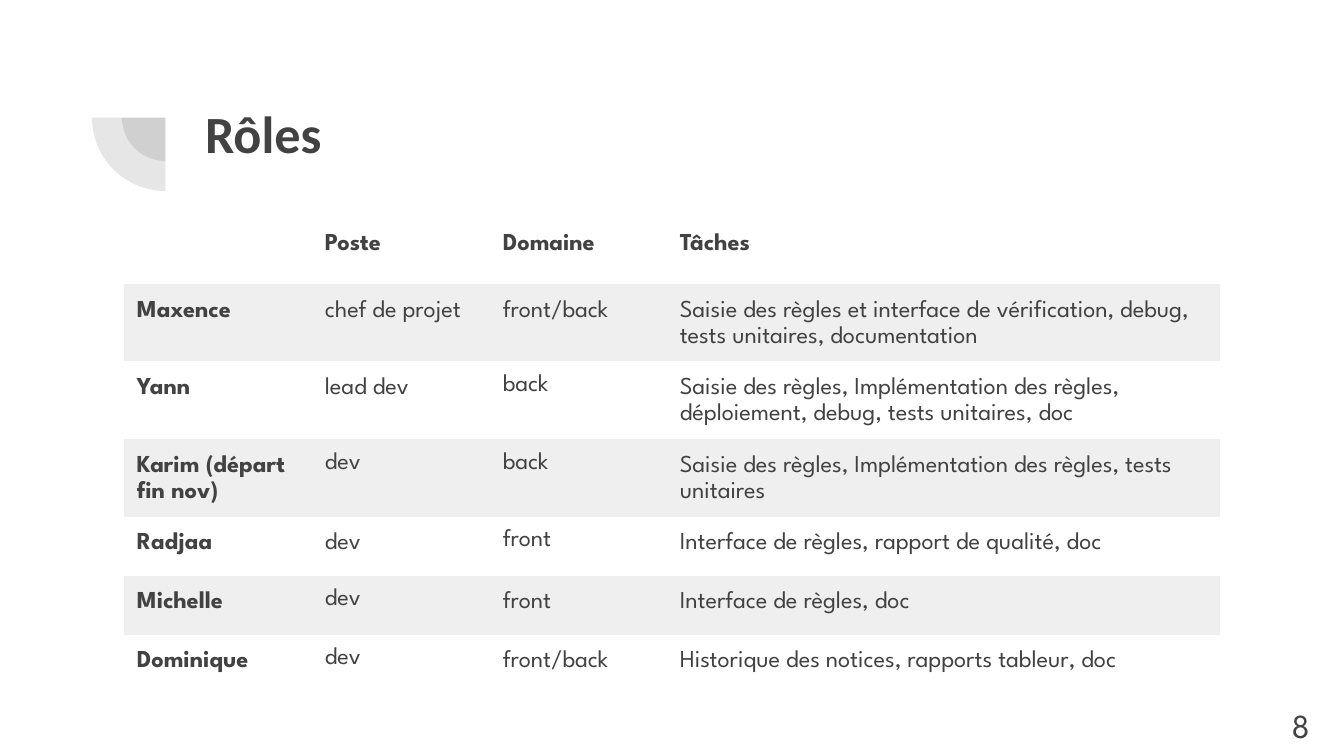
from dataclasses import dataclass

from lxml.etree import SubElement
from pptx import Presentation
from pptx.dml.color import RGBColor
from pptx.enum.shapes import MSO_SHAPE
from pptx.enum.text import MSO_ANCHOR, MSO_AUTO_SIZE, PP_ALIGN
from pptx.oxml.ns import qn
from pptx.util import Pt

EMU_PER_PX = 914400 / 134.4
NO_STYLE_NO_GRID = "{2D5ABB26-0587-4C30-8999-92F81FD0307C}"


@dataclass(frozen=True)
class Theme:
    ink: RGBColor = RGBColor(0x42, 0x42, 0x42)
    band: RGBColor = RGBColor(0xEF, 0xEF, 0xEF)
    title_font: str = "Calibri"
    body_font: str = "League Spartan"
    title_size: int = 28
    table_size: int = 13
    number_size: int = 18
    ornament_alpha: int = 13


THEME = Theme()

ROLES = [
    ["", "Poste", "Domaine", "Tâches"],
    ["Maxence", "chef de projet", "front/back",
     "Saisie des règles et interface de vérification, debug, tests unitaires, documentation"],
    ["Yann", "lead dev", "back",
     "Saisie des règles, Implémentation des règles, déploiement, debug, tests unitaires, doc"],
    ["Karim (départ fin nov)", "dev", "back",
     "Saisie des règles, Implémentation des règles, tests unitaires"],
    ["Radjaa", "dev", "front", "Interface de règles, rapport de qualité, doc"],
    ["Michelle", "dev", "front", "Interface de règles, doc"],
    ["Dominique", "dev", "front/back", "Historique des notices, rapports tableur, doc"],
]
# Body cells (row, column) that keep single line spacing
SINGLE_SPACED = {(2, 2), (3, 1), (3, 2), (4, 2), (5, 1), (6, 1)}
COLUMN_WIDTHS = [188, 178, 177, 553]
HEADER_HEIGHT = 64
ROW_HEIGHT = 59


def px(length):
    return round(length * EMU_PER_PX)


def format_runs(paragraph, font_name, size, bold=False):
    for run in paragraph.runs:
        run.font.name = font_name
        run.font.size = Pt(size)
        run.font.bold = bold
        run.font.color.rgb = THEME.ink


def set_margins(target):
    """Give a text frame or a table cell the same margin on all sides."""
    for side in ("left", "top", "right", "bottom"):
        setattr(target, f"margin_{side}", px(13))


def add_ornament(slide, left, top, size):
    """Two overlapping quarter discs sharing one centre."""
    group = slide.shapes.add_group_shape()
    for inset in (30, 0):
        diameter = px(size - 2 * inset)
        pie = group.shapes.add_shape(
            MSO_SHAPE.PIE, px(left + inset), px(top + inset), diameter, diameter)
        pie.adjustments[0] = 108
        pie.adjustments[1] = 162
        pie.rotation = 270
        pie.shadow.inherit = False
        pie.line.fill.background()
        pie.fill.solid()
        pie.fill.fore_color.rgb = THEME.ink
        color = pie.fill._xPr.find(qn("a:solidFill"))[0]
        SubElement(color, qn("a:alpha"), val=str(THEME.ornament_alpha * 1000))


def place_title(slide, text, left, top, width, height):
    title = slide.shapes.title
    title.left, title.top = px(left), px(top)
    title.width, title.height = px(width), px(height)
    frame = title.text_frame
    frame.text = text
    frame.auto_size = MSO_AUTO_SIZE.NONE
    frame.vertical_anchor = MSO_ANCHOR.TOP
    set_margins(frame)
    paragraph = frame.paragraphs[0]
    paragraph.alignment = PP_ALIGN.LEFT
    format_runs(paragraph, THEME.title_font, THEME.title_size, bold=True)


def fill_cell(cell, text, row, column):
    cell.text_frame.text = text
    set_margins(cell)
    if row % 2:
        cell.fill.solid()
        cell.fill.fore_color.rgb = THEME.band
    else:
        cell.fill.background()
    paragraph = cell.text_frame.paragraphs[0]
    format_runs(paragraph, THEME.body_font, THEME.table_size, bold=row == 0 or column == 0)
    if not text:
        # Keeps the empty line from stretching the header row
        cell.margin_top = cell.margin_bottom = 0
    elif row > 0 and (row, column) not in SINGLE_SPACED:
        paragraph.line_spacing = 1.15
        if row > 1:
            paragraph.space_after = Pt(12)


def add_roles_table(slide, left, top):
    height = HEADER_HEIGHT + ROW_HEIGHT * (len(ROLES) - 1)
    table = slide.shapes.add_table(
        len(ROLES), len(COLUMN_WIDTHS),
        px(left), px(top), px(sum(COLUMN_WIDTHS)), px(height)).table
    table.first_row = table.horz_banding = False
    table._tbl.tblPr.find(qn("a:tableStyleId")).text = NO_STYLE_NO_GRID
    for column, width in zip(table.columns, COLUMN_WIDTHS):
        column.width = px(width)
    for row, texts in enumerate(ROLES):
        table.rows[row].height = px(ROW_HEIGHT if row else HEADER_HEIGHT)
        for column, text in enumerate(texts):
            fill_cell(table.cell(row, column), text, row, column)


def add_slide_number(slide, number, left, top, width, height):
    box = slide.shapes.add_textbox(px(left), px(top), px(width), px(height))
    frame = box.text_frame
    frame.word_wrap = True
    frame.vertical_anchor = MSO_ANCHOR.MIDDLE
    set_margins(frame)
    frame.text = str(number)
    paragraph = frame.paragraphs[0]
    paragraph.alignment = PP_ALIGN.RIGHT
    format_runs(paragraph, THEME.body_font, THEME.number_size)


def main():
    presentation = Presentation()
    presentation.slide_width = px(1344)
    presentation.slide_height = px(756)
    slide = presentation.slides.add_slide(presentation.slide_layouts[5])
    add_ornament(slide, left=92, top=44, size=147)
    place_title(slide, "Rôles", left=192, top=88, width=1034, height=146)
    add_roles_table(slide, left=124, top=220)
    add_slide_number(slide, 8, left=1242, top=696, width=81, height=58)
    presentation.save("out.pptx")


if __name__ == "__main__":
    main()
